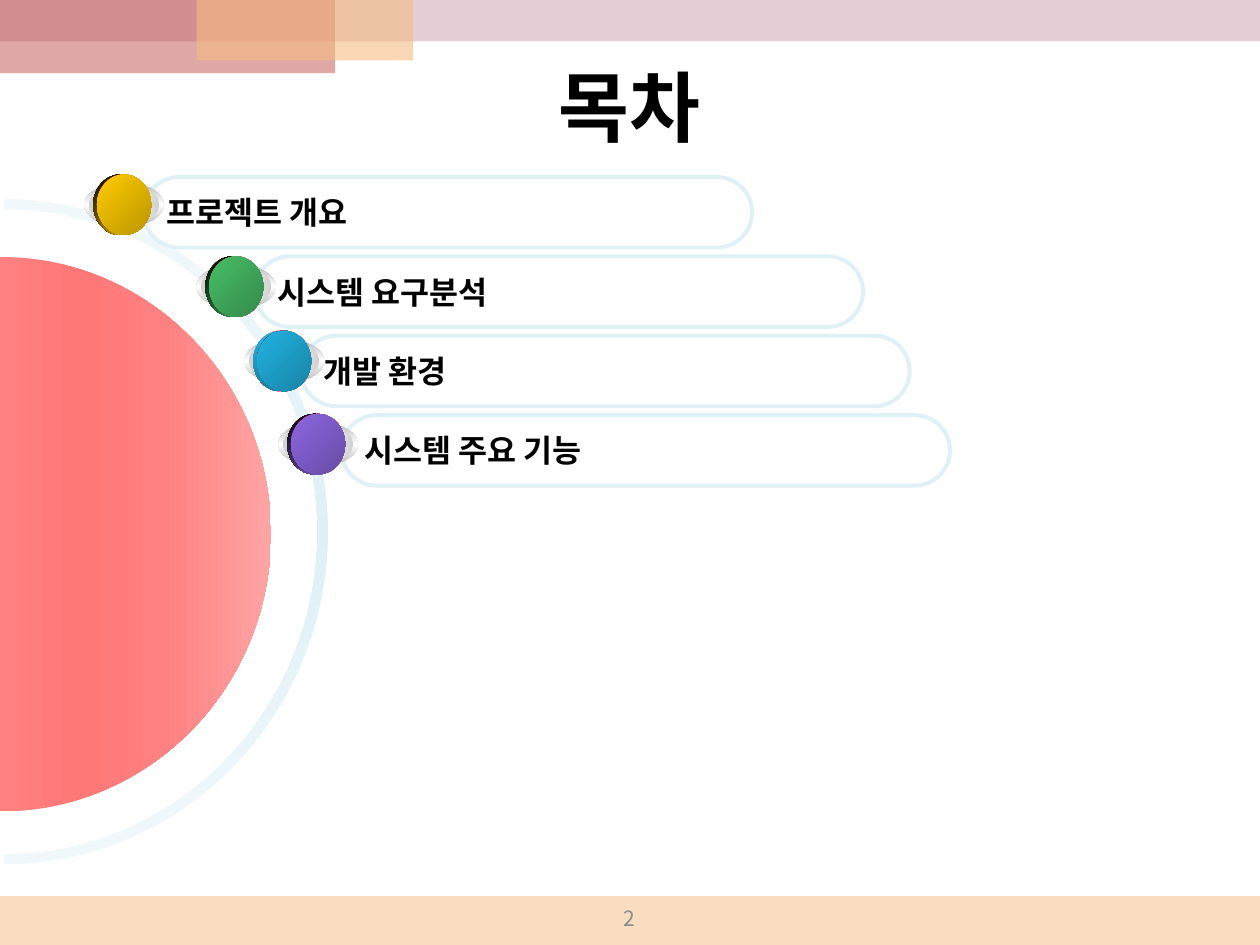
from lxml import etree
from pptx import Presentation
from pptx import util as u
from pptx.dml import color
from pptx.enum import shapes, text
from pptx.oxml import ns

FONT = "Noto Sans CJK KR"
COLUMNS, ROWS = 100, 75
CELL = u.Inches(10) // COLUMNS
CURVE = 0.5523

BANDS = [
    (0, 71.1, 100, 3.9, "F5BC83", 50),
    (0, 0, 100, 3.3, "CC9EAC", 50),
    (0, 0, 26.6, 5.8, "C0504D", 50),
    (15.6, 0, 17.2, 4.8, "F5BC83", 60),
]
TOPICS = [
    ("프로젝트 개요", 11.4, (6.7, 14.5), "FFCC00", ("000000", None), 45),
    ("시스템 요구분석", 20.2, (15.6, 21), "48BE67", ("000000", None), 45),
    ("개발 환경", 23.9, (19.4, 26.9), "21B3E1", ("21B3E1", 47451), 90),
    ("시스템 주요 기능", 27.1, (22.1, 33.5), "8D67E1", ("000000", None), 45),
]


def rgb(value):
    return color.RGBColor.from_string(value)


def cells(*values):
    return [round(value * CELL) for value in values]


def child(parent, tag, **attributes):
    return etree.SubElement(parent, ns.qn(tag), attributes)


def fill_gradient(shape, stops, angle):
    shape.fill.gradient()
    shape.fill.gradient_angle = -angle % 360
    stop_list = shape._element.spPr.find(ns.qn("a:gradFill")).find(ns.qn("a:gsLst"))
    for stop in list(stop_list):
        stop_list.remove(stop)
    for position, value, shade in stops:
        stop = child(stop_list, "a:gs", pos=str(position * 1000))
        tone = child(stop, "a:srgbClr", val=value)
        if shade:
            child(tone, "a:shade", val=str(shade))


def finish(shape):
    shape.shadow.inherit = False
    shape.line.fill.background()


def style_text(frame, size, value, bold, align, wrap=True):
    frame.word_wrap = wrap
    frame.vertical_anchor = text.MSO_ANCHOR.MIDDLE
    para = frame.paragraphs[0]
    para.alignment = align
    span = para.runs[0]
    span.font.name = FONT
    span.font.size = u.Pt(size)
    span.font.bold = bold
    span.font.color.rgb = rgb(value)
    child(span.font._element, "a:ea", typeface=FONT)


def add_band(page, left, top, width, height, value, opacity):
    band = page.shapes.add_shape(
        shapes.MSO_SHAPE.RECTANGLE, *cells(left, top, width, height))
    finish(band)
    band.fill.solid()
    band.fill.fore_color.rgb = rgb(value)
    solid = band._element.spPr.find(ns.qn("a:solidFill"))
    child(solid[0], "a:alpha", val=str(opacity * 1000))
    page.slide_layout.shapes._spTree.append(band._element)


def add_title(page, words):
    title = page.shapes.title
    title.left, title.top, title.width, title.height = cells(5.4, 3.4, 89.1, 10)
    title.text_frame.text = words
    style_text(title.text_frame, 44, "000000", True, text.PP_ALIGN.CENTER)


def add_page_number(page, number):
    box = page.shapes.add_textbox(*cells(38.3, 71.5, 23.3, 2.7))
    box.text_frame.text = number
    style_text(box.text_frame, 12, "8C8C8C", False, text.PP_ALIGN.CENTER)


def half_arc(left, middle, across, down):
    right, top, bottom = left + across, middle - down, middle + down
    return [((left, top), None), ((right, middle), (right, top)),
            ((left, bottom), (right, bottom))]


def reverse_arc(arc):
    corners = [None, arc[2][1], arc[1][1]]
    return [(point, corner) for (point, _), corner in zip(arc[::-1], corners)]


def toward(start, corner):
    return [a + CURVE * (b - a) for a, b in zip(start, corner)]


def add_outline(page, nodes, stops, angle):
    points = [cells(*point) for point, _ in nodes]
    builder = page.shapes.build_freeform(*points[0])
    builder.add_line_segments(points[1:], close=True)
    outline = builder.convert_to_shape()
    segments = list(outline._element.iter(ns.qn("a:lnTo")))
    for segment, (start, _), (end, corner) in zip(segments, nodes, nodes[1:]):
        if corner is None:
            continue
        curve = etree.Element(ns.qn("a:cubicBezTo"))
        for spot in (toward(start, corner), toward(end, corner), end):
            x, y = cells(*spot)
            child(curve, "a:pt", x=str(x - outline.left), y=str(y - outline.top))
        segment.getparent().replace(segment, curve)
    finish(outline)
    fill_gradient(outline, stops, angle)


def add_pill(page, words, left, top):
    pill = page.shapes.add_shape(
        shapes.MSO_SHAPE.ROUNDED_RECTANGLE, *cells(left, top, 48.3, 5.6))
    pill.adjustments[0] = 0.5
    pill.shadow.inherit = False
    pill.fill.background()
    pill.line.color.rgb = rgb("DFF0F7")
    pill.line.width = u.Pt(2.25)
    pill.text_frame.text = words
    style_text(pill.text_frame, 18, "000000", True, text.PP_ALIGN.LEFT, False)


def mirrored(edge, middle, shade=None):
    return [(0, edge, shade), (50, middle, None), (100, edge, shade)]


def add_ball(page, left, top, light, rim, rim_angle):
    back, front = (0.7, -0.65, 4.3, 4.8), (1, -0.65, 4.3, 4.8)
    plain, (rim_value, rim_shade) = (0, light, None), rim
    rim_stops = [plain, (100, rim_value, rim_shade)]
    if rim_shade is None:
        rim_stops = [(0, rim_value, None), (100, light, None)]
    layers = [
        ((0, 0, 6.3, 3.5), mirrored("FFFFFF", "FFFFFF", 46275), 90),
        ((0.35, 0.2, 5.6, 3.1), mirrored("FFFFFF", "FFFFFF", 63529), 0),
        (back, mirrored("FFFFFF", "FF0000"), 45),
        (back, rim_stops, rim_angle),
        (front, mirrored("FF0000", "FF0000", 54510), 315),
        (front, [plain, (100, light, 49020)], 45),
    ]
    group = page.shapes.add_group_shape()
    for (across, down, width, height), stops, angle in layers:
        layer = group.shapes.add_shape(
            shapes.MSO_SHAPE.OVAL, *cells(left + across, top + down, width, height))
        finish(layer)
        fill_gradient(layer, stops, angle)


def main():
    deck = Presentation()
    deck.slide_width, deck.slide_height = COLUMNS * CELL, ROWS * CELL
    page = deck.slides.add_slide(deck.slide_layouts[5])
    for band in BANDS:
        add_band(page, *band)
    add_title(page, "목차")
    add_page_number(page, "2")

    inner = half_arc(0.3, 42.2, 24.9, 25.6)
    outer = half_arc(0.3, 42.2, 25.7, 26.4)
    ring_stops = mirrored("F1F8FB", "DFF0F7")
    add_outline(page, inner + reverse_arc(outer), ring_stops, 90)
    disc_stops = [(0, "FF8080", None), (30, "FF7878", None),
                  (60, "FF8080", None), (100, "FFA4A4", None)]
    add_outline(page, half_arc(0, 42.4, 21.5, 22), disc_stops, 0)

    for row, (words, left, *_) in reversed(list(enumerate(TOPICS))):
        add_pill(page, words, left, 14.05 + 6.3 * row)
    for _, _, corner, *colours in TOPICS:
        add_ball(page, *corner, *colours)
    deck.save("out.pptx")


if __name__ == "__main__":
    main()
